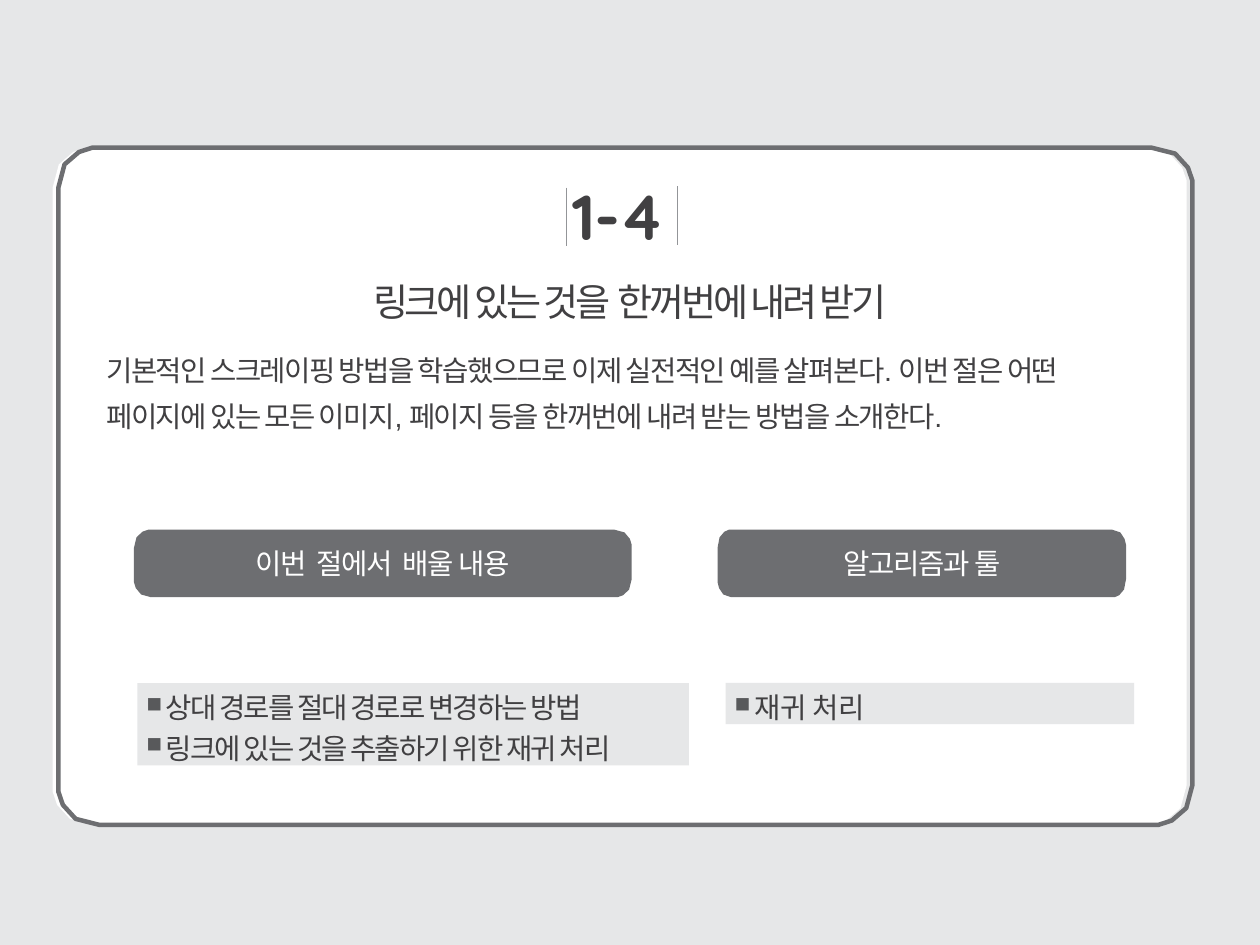
from lxml import etree
from pptx import Presentation
from pptx import util as u
from pptx.dml import color
from pptx.enum import shapes, text
from pptx.oxml import ns

PALE, GRAY, INK, WHITE = "E6E7E8", "6D6E71", "414042", "FFFFFF"
CURVE = [(1, 0), (0.83, 0), (0.5, 0.11), (0.15, 0.42), (0, 1)]


def rgb(code):
    """Turn a hex string into a colour."""
    return color.RGBColor.from_string(code)


def paint(shape, fill=None, line=None, width=1):
    """Set the fill and outline of a shape and drop its shadow."""
    shape.shadow.inherit = False
    if fill:
        shape.fill.solid()
        shape.fill.fore_color.rgb = rgb(fill)
    else:
        shape.fill.background()
    if line:
        shape.line.color.rgb = rgb(line)
        shape.line.width = u.Pt(width)
    else:
        shape.line.fill.background()


def clear(frame, top=0):
    """Wrap a text frame and strip its margins."""
    frame.word_wrap = True
    frame.margin_left = frame.margin_right = frame.margin_bottom = 0
    frame.margin_top = u.Inches(top)


def write(para, words, size, tint=INK, face="Arial", gap=0, bold=False):
    """Add one run with its font and letter spacing."""
    run = para.add_run()
    run.text = words
    font = run.font
    font.size, font.name, font.bold = u.Pt(size), face, bold
    font.color.rgb = rgb(tint)
    font._element.set("spc", str(round(gap * 100)))


def label(slide, box, words, size, **style):
    """Place a plain text box and return its paragraph."""
    area = slide.shapes.add_textbox(*map(u.Inches, box))
    clear(area.text_frame)
    para = area.text_frame.paragraphs[0]
    write(para, words, size, **style)
    return para


def panel(slide, box, rx, ry):
    """Draw a rectangle with faceted round corners."""
    x, y, w, h = box
    left = [(rx * a, ry * b) for a, b in CURVE]
    left += [(rx * b, h - ry * a) for a, b in CURVE]
    ring = left + [(w - a, h - b) for a, b in left]
    dots = [(u.Inches(x + a), u.Inches(y + b)) for a, b in ring]
    form = slide.shapes.build_freeform(*dots[0])
    form.add_line_segments(dots[1:], close=True)
    return form.convert_to_shape()


def card(slide, box):
    """Draw the white card and its slightly shifted frame."""
    x, y, w, h = box
    paint(panel(slide, box, 0.36, 0.35), fill=WHITE)
    paint(panel(slide, (x + 0.05, y, w, h), 0.36, 0.35), line=GRAY, width=2.83)


def header(slide, box):
    """Place the section number, title and summary."""
    x, y, w, h = box
    for dx, dy in ((4.03, 0.09), (5, 0.08)):
        ends = (x + dx, y + dy, x + dx, y + dy + 0.51)
        bar = slide.shapes.add_connector(
            shapes.MSO_CONNECTOR.STRAIGHT, *map(u.Inches, ends))
        bar.line.color.rgb = rgb("939598")
        bar.line.width = u.Pt(0.5)
        etree.SubElement(bar._element.spPr, ns.qn("a:effectLst"))
    label(slide, (x + 4.08, y, 1.04, 0.67), "1-4", 40,
          face="Quicksand", gap=-0.4, bold=True)
    label(slide, (x + 2.34, y + 0.88, 5.25, 0.4),
          "링크에 있는 것을  한꺼번에 내려 받기", 24, gap=-2)
    para = label(
        slide, (x + 0.01, y + 1.43, w, h - 1.43),
        "기본적인 스크레이핑 방법을 학습했으므로 이제 실전적인 예를 살펴본다. "
        "이번 절은 어떤 페이지에 있는 모든 이미지, 페이지 등을 "
        "한꺼번에 내려 받는 방법을 소개한다.", 18, gap=-1)
    para.line_spacing = 1.35


def bullet(para):
    """Give a paragraph a small square bullet."""
    props = para._p.get_or_add_pPr()
    props.set("marL", str(u.Inches(0.25)))
    props.set("indent", str(-u.Inches(0.17)))
    tint = etree.SubElement(props, ns.qn("a:buClr"))
    etree.SubElement(tint, ns.qn("a:srgbClr")).set("val", "58595B")
    etree.SubElement(props, ns.qn("a:buSzPct")).set("val", "75000")
    etree.SubElement(props, ns.qn("a:buChar")).set("char", "■")


def topic(slide, box, rx, name, shift, wide, items, gap):
    """Place a heading button and the bullet list under it."""
    x, y, w, h = box
    head = panel(slide, (x, y, w, 0.59), rx, 0.16)
    paint(head, fill=GRAY)
    clear(head.text_frame)
    head.text_frame.vertical_anchor = text.MSO_ANCHOR.MIDDLE
    para = head.text_frame.paragraphs[0]
    para.alignment = text.PP_ALIGN.CENTER
    write(para, name, 18, WHITE, "DejaVu Sans Mono", -0.7)

    area = (x + shift, y + 1.34, wide, h - 1.34)
    body = slide.shapes.add_shape(
        shapes.MSO_SHAPE.RECTANGLE, *map(u.Inches, area))
    paint(body, fill=PALE)
    frame = body.text_frame
    clear(frame, 0.06)
    frame.vertical_anchor = text.MSO_ANCHOR.TOP
    for i, item in enumerate(items):
        para = frame.add_paragraph() if i else frame.paragraphs[0]
        para.alignment = text.PP_ALIGN.LEFT
        if i:
            para.space_before = u.Pt(4)
        bullet(para)
        write(para, item, 18, gap=gap)


def main():
    """Build and save the slide."""
    deck = Presentation()
    deck.slide_width, deck.slide_height = u.Inches(11.01), u.Inches(8.26)
    slide = deck.slides.add_slide(deck.slide_layouts[6])
    slide.background.fill.solid()
    slide.background.fill.fore_color.rgb = rgb(PALE)
    card(slide, (0.46, 1.29, 9.91, 5.92))
    header(slide, (0.92, 1.55, 8.98, 2.25))
    topic(slide, (1.17, 4.63, 4.35, 2.06), 0.15, "이번  절에서  배울 내용",
          0.03, 4.82, ["상대 경로를 절대 경로로 변경하는 방법",
                       "링크에 있는 것을 추출하기 위한 재귀 처리"], -1.2)
    topic(slide, (6.27, 4.63, 3.57, 1.7), 0.12, "알고리즘과 툴",
          0.07, 3.57, ["재귀 처리"], -0.2)
    deck.save("out.pptx")


if __name__ == "__main__":
    main()
